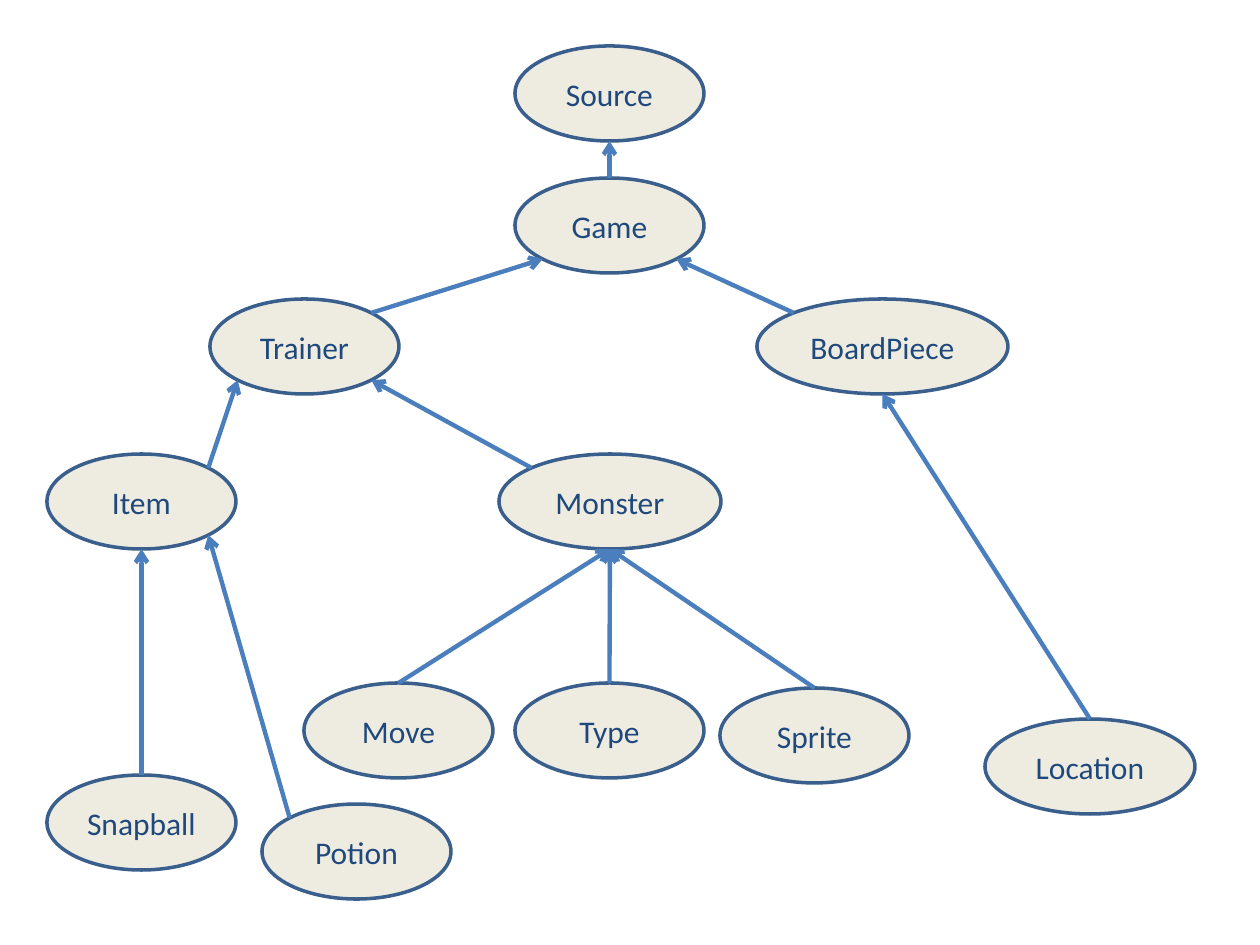
from math import sqrt

from pptx import Presentation
from pptx.dml.color import RGBColor
from pptx.enum.shapes import MSO_CONNECTOR, MSO_SHAPE
from pptx.enum.text import MSO_ANCHOR, PP_ALIGN
from pptx.oxml.ns import qn
from pptx.util import Emu, Pt

ELLIPSE = MSO_SHAPE.OVAL
STRAIGHT = MSO_CONNECTOR.STRAIGHT
MIDDLE = MSO_ANCHOR.MIDDLE
CENTER = PP_ALIGN.CENTER

EMU_PER_PX = 914400 / 126
SLIDE_WIDTH, SLIDE_HEIGHT = 1260, 945
BLANK_LAYOUT = 6
NODE_WIDTH, NODE_HEIGHT = 189, 95
TOP_SITE = 0

COLORS = {"fill": "EEECE1", "outline": "3A5F8C", "text": "1F497D", "arrow": "4B7EBC"}
FONT = {"name": "Calibri", "size": Pt(18)}

NEAR = 0.5 - sqrt(2) / 4
FAR = 1 - NEAR
ANCHORS = {
    "top": (0.5, 0),
    "bottom": (0.5, 1),
    "top left": (NEAR, NEAR),
    "top right": (FAR, NEAR),
    "bottom left": (NEAR, FAR),
    "bottom right": (FAR, FAR),
}

NODES = {
    "Source": (515, 46, NODE_WIDTH),
    "BoardPiece": (757, 299, 251),
    "Game": (515, 178, NODE_WIDTH),
    "Item": (47, 454, NODE_WIDTH),
    "Sprite": (720, 688, NODE_WIDTH),
    "Monster": (499, 454, 222),
    "Snapball": (47, 775, NODE_WIDTH),
    "Move": (304, 683, NODE_WIDTH),
    "Location": (985, 719, 210),
    "Type": (515, 683, NODE_WIDTH),
    "Trainer": (210, 299, NODE_WIDTH),
    "Potion": (262, 804, NODE_WIDTH),
}

ARROWS = [
    ("Game", "top", "Source", "bottom"),
    ("Trainer", "top right", "Game", "bottom left"),
    ("BoardPiece", "top left", "Game", "bottom right"),
    ("Item", "top right", "Trainer", "bottom left"),
    ("Monster", "top left", "Trainer", "bottom right"),
    ("Snapball", "top", "Item", "bottom"),
    ("Potion", "top left", "Item", "bottom right"),
    ("Move", "top", "Monster", "bottom"),
    ("Type", "top", "Monster", "bottom"),
    ("Sprite", "top", "Monster", "bottom"),
    ("Location", "top", "BoardPiece", "bottom"),
]


def px(length):
    return Emu(round(length * EMU_PER_PX))


def color(name):
    return RGBColor.from_string(COLORS[name])


def apply_format(target, values):
    for name, value in values.items():
        setattr(target, name, value)


def anchor_point(shape, anchor):
    across, down = ANCHORS[anchor]
    return (
        Emu(round(shape.left + shape.width * across)),
        Emu(round(shape.top + shape.height * down)),
    )


class DiagramBuilder:
    def __init__(self, slide):
        self.slide = slide

    def node(self, label, left, top, width):
        shape = self.slide.shapes.add_shape(
            ELLIPSE, px(left), px(top), px(width), px(NODE_HEIGHT)
        )
        shape.shadow.inherit = False
        shape.fill.solid()
        shape.fill.fore_color.rgb = color("fill")
        shape.line.color.rgb = color("outline")
        shape.line.width = Pt(2)
        shape.text_frame.vertical_anchor = MIDDLE
        paragraph = shape.text_frame.paragraphs[0]
        paragraph.alignment = CENTER
        run = paragraph.add_run()
        run.text = label
        apply_format(run.font, FONT)
        run.font.color.rgb = color("text")
        return shape

    def arrow(self, child, child_anchor, parent, parent_anchor):
        connector = self.slide.shapes.add_connector(
            STRAIGHT,
            *anchor_point(child, child_anchor),
            *anchor_point(parent, parent_anchor),
        )
        if child_anchor == "top":
            connector.begin_connect(child, TOP_SITE)
        connector.line.color.rgb = color("arrow")
        connector.line.width = Pt(2.5)
        properties = connector._element.spPr
        line = properties.find(qn("a:ln"))
        head = line.makeelement(qn("a:tailEnd"), {"type": "arrow"})
        line.append(head)
        properties.append(properties.makeelement(qn("a:effectLst"), {}))


def main():
    presentation = Presentation()
    presentation.slide_width = px(SLIDE_WIDTH)
    presentation.slide_height = px(SLIDE_HEIGHT)
    slide = presentation.slides.add_slide(presentation.slide_layouts[BLANK_LAYOUT])
    diagram = DiagramBuilder(slide)
    nodes = {label: diagram.node(label, *box) for label, box in NODES.items()}
    for child, child_anchor, parent, parent_anchor in ARROWS:
        diagram.arrow(nodes[child], child_anchor, nodes[parent], parent_anchor)
    presentation.save("out.pptx")


if __name__ == "__main__":
    main()
